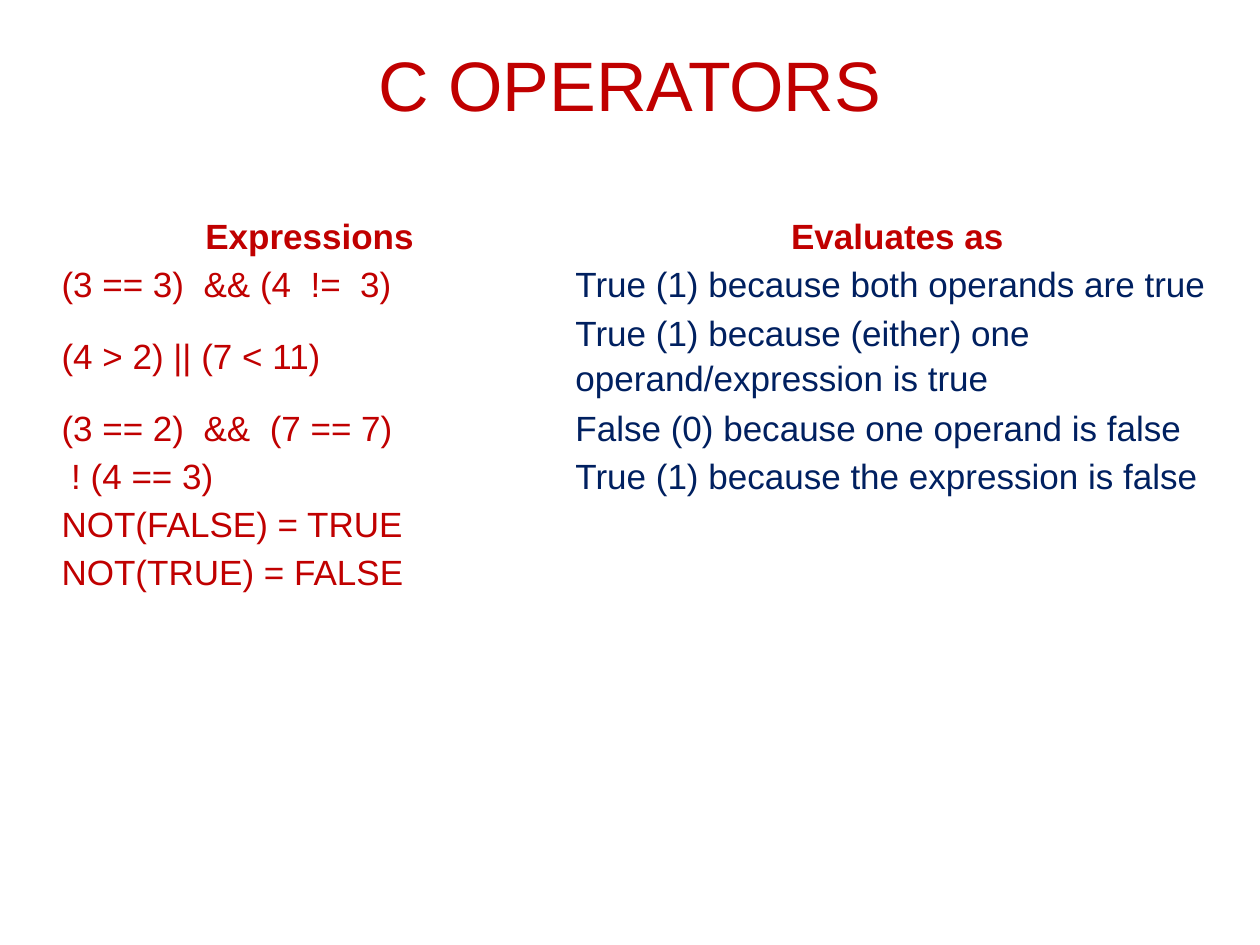
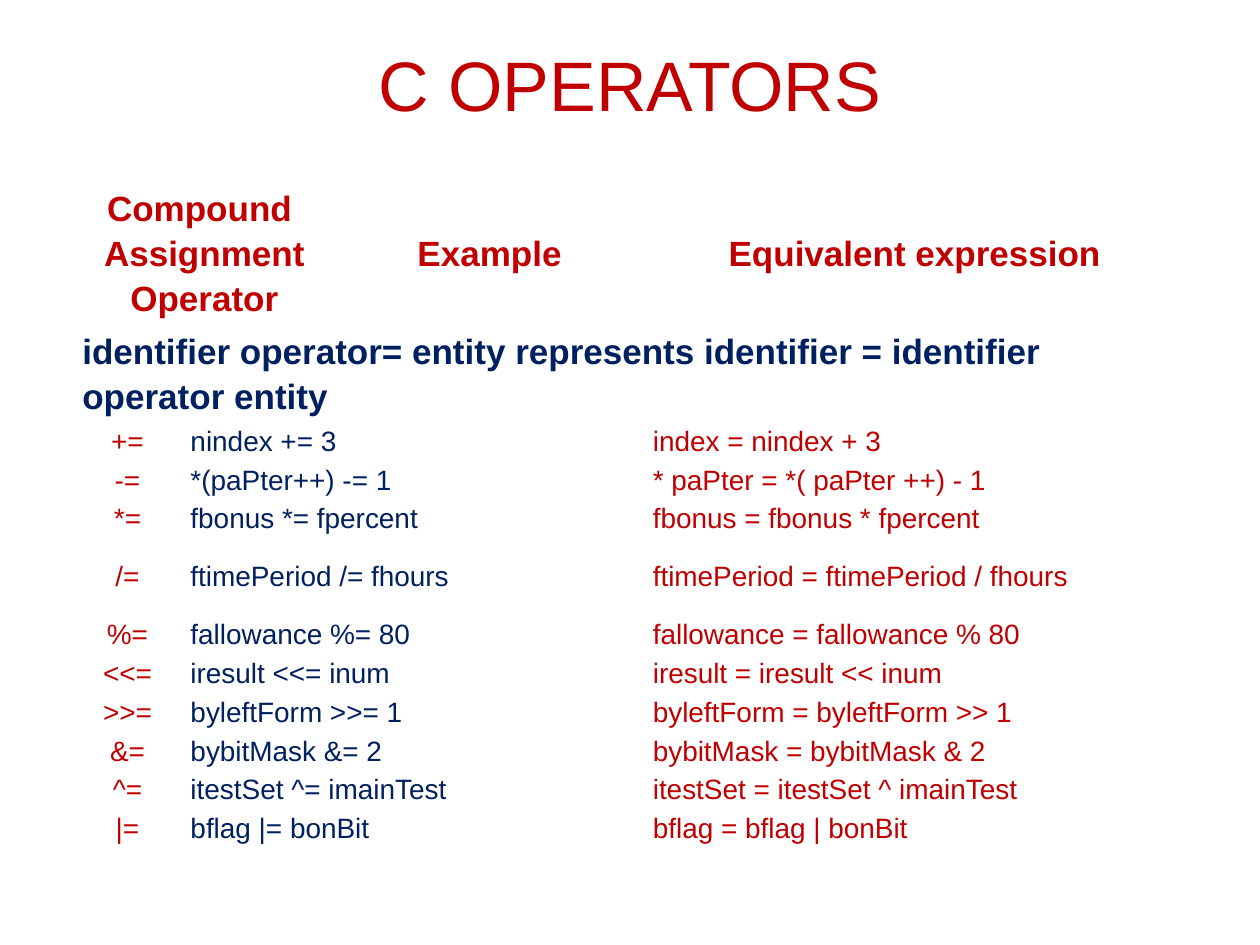
from dataclasses import dataclass

from pptx import Presentation
from pptx.dml import color
from pptx.enum import text
from pptx import util as u


@dataclass(frozen=True)
class Theme:
    font: str = "Arial"
    red: str = "C00000"
    navy: str = "002060"
    title_size: int = 40
    large: int = 20
    small: int = 16
    line_spacing: float = 1.15
    cell_margin: float = 0.18


@dataclass(frozen=True)
class CellStyle:
    color: str
    size: int
    bold: bool = False
    centred: bool = False


THEME = Theme()
HEADING = CellStyle(THEME.red, THEME.large, bold=True, centred=True)
EXPRESSION = CellStyle(THEME.red, THEME.large)
RESULT = CellStyle(THEME.navy, THEME.large)
RULE = CellStyle(THEME.navy, THEME.large, bold=True)
OPERATOR = CellStyle(THEME.red, THEME.small, centred=True)
EXAMPLE = CellStyle(THEME.navy, THEME.small)
EQUIVALENT = CellStyle(THEME.red, THEME.small)

LOGICAL_EXPRESSIONS = [
    ("(3 == 3)  && (4  !=  3)", "True (1) because both operands are true"),
    ("(4 > 2) || (7 < 11)", "True (1) because (either) one operand/expression is true"),
    ("(3 == 2)  &&  (7 == 7)", "False (0) because one operand is false"),
    (" ! (4 == 3)", "True (1) because the expression is false"),
]
NEGATIONS = ["NOT(FALSE) = TRUE", "NOT(TRUE) = FALSE"]

COMPOUND_ASSIGNMENTS = [
    ("+=", "nindex += 3", "index = nindex + 3"),
    ("-=", "*(paPter++) -= 1", "* paPter = *( paPter ++) - 1"),
    ("*=", "fbonus *= fpercent", "fbonus = fbonus * fpercent"),
    ("/=", "ftimePeriod /= fhours", "ftimePeriod = ftimePeriod / fhours"),
    ("%=", "fallowance %= 80", "fallowance = fallowance % 80"),
    ("<<=", "iresult <<= inum", "iresult = iresult << inum"),
    (">>=", "byleftForm >>= 1", "byleftForm = byleftForm >> 1"),
    ("&=", "bybitMask &= 2", "bybitMask = bybitMask & 2"),
    ("^=", "itestSet ^= imainTest", "itestSet = itestSet ^ imainTest"),
    ("|=", "bflag |= bonBit", "bflag = bflag | bonBit"),
]


class Deck:
    def __init__(self, theme):
        self.theme = theme
        self.presentation = Presentation()
        self.presentation.slide_width = u.Cm(25.4)
        self.presentation.slide_height = u.Cm(19.05)
        self.slide = None

    def add_slide(self, heading):
        self.slide = self.presentation.slides.add_slide(self.presentation.slide_layouts[5])
        title = self.slide.shapes.title
        title.left, title.top = u.Cm(1.27), u.Cm(0.71)
        title.width, title.height = u.Cm(22.86), u.Cm(1.96)
        frame = title.text_frame
        frame.text = heading
        frame.vertical_anchor = text.MSO_ANCHOR.MIDDLE
        self.format_text(frame.paragraphs[0], CellStyle(self.theme.red, self.theme.title_size, centred=True))

    def format_text(self, paragraph, style):
        paragraph.alignment = text.PP_ALIGN.CENTER if style.centred else text.PP_ALIGN.LEFT
        for run in paragraph.runs:
            run.font.name = self.theme.font
            run.font.size = u.Pt(style.size)
            run.font.bold = style.bold
            run.font.color.rgb = color.RGBColor.from_string(style.color)

    def fill_cell(self, cell, wording, style):
        cell.text_frame.text = wording
        paragraph = cell.text_frame.paragraphs[0]
        paragraph.line_spacing = self.theme.line_spacing
        self.format_text(paragraph, style)

    def add_table(self, left, top, widths, heights, rows):
        frame = self.slide.shapes.add_table(
            len(heights), len(widths), u.Cm(left), u.Cm(top), u.Cm(sum(widths)), u.Cm(sum(heights)))
        table = frame.table
        table.first_row = table.horz_banding = False
        for column, width in zip(table.columns, widths):
            column.width = u.Cm(width)
        for row, height in zip(table.rows, heights):
            row.height = u.Cm(height)
        for cell in table.iter_cells():
            cell.fill.background()
            cell.vertical_anchor = text.MSO_ANCHOR.MIDDLE
            cell.margin_left = cell.margin_right = u.Cm(self.theme.cell_margin)
            cell.margin_top = cell.margin_bottom = 0
        for row_index, entries in enumerate(rows):
            column_index = 0
            for wording, style, span in entries:
                cell = table.cell(row_index, column_index)
                if span > 1:
                    cell.merge(table.cell(row_index, column_index + span - 1))
                self.fill_cell(cell, wording, style)
                column_index += span

    def save(self):
        self.presentation.save("out.pptx")


def add_logical_operators(deck):
    deck.add_slide("C OPERATORS")
    rows = [[("Expressions", HEADING, 1), ("Evaluates as", HEADING, 1)]]
    rows += [[(expression, EXPRESSION, 1), (result, RESULT, 1)]
             for expression, result in LOGICAL_EXPRESSIONS]
    rows += [[(negation, EXPRESSION, 2)] for negation in NEGATIONS]
    line = 0.97
    heights = [line] * 2 + [2 * line] + [line] * 4
    deck.add_table(1.06, 4.23, [10.36, 13.34], heights, rows)


def add_compound_assignments(deck):
    deck.add_slide("C OPERATORS")
    rows = [
        [("Compound  Assignment Operator", HEADING, 2), ("Example", HEADING, 1),
         ("Equivalent expression", HEADING, 1)],
        [("identifier operator= entity represents identifier = identifier operator entity", RULE, 4)],
    ]
    rows += [[(operator, OPERATOR, 1), (example, EXAMPLE, 2), (equivalent, EQUIVALENT, 1)]
             for operator, example, equivalent in COMPOUND_ASSIGNMENTS]
    line = 0.78
    heights = [2.92, 1.95] + [line] * 3 + [2 * line] + [line] * 6
    deck.add_table(1.48, 3.6, [2.18, 3.1, 6.22, 10.92], heights, rows)


def main():
    deck = Deck(THEME)
    add_logical_operators(deck)
    add_compound_assignments(deck)
    deck.save()


if __name__ == "__main__":
    main()
